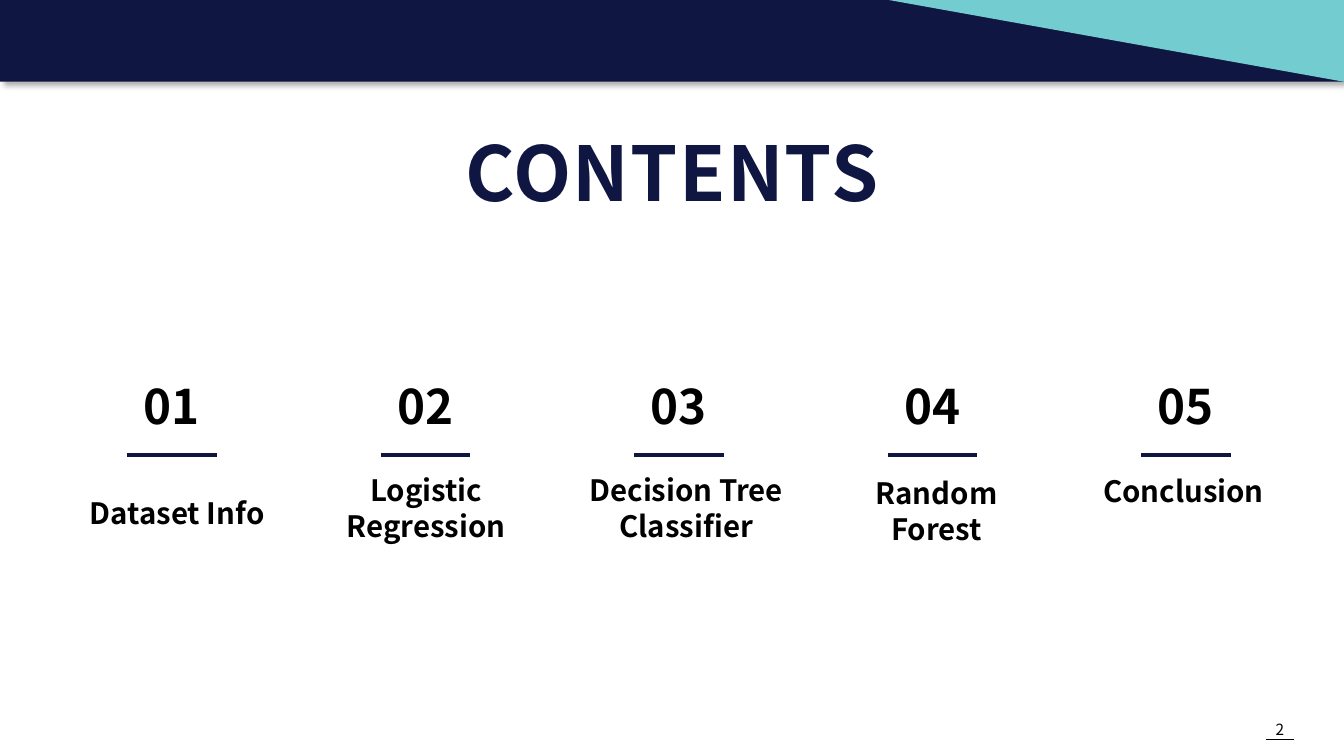
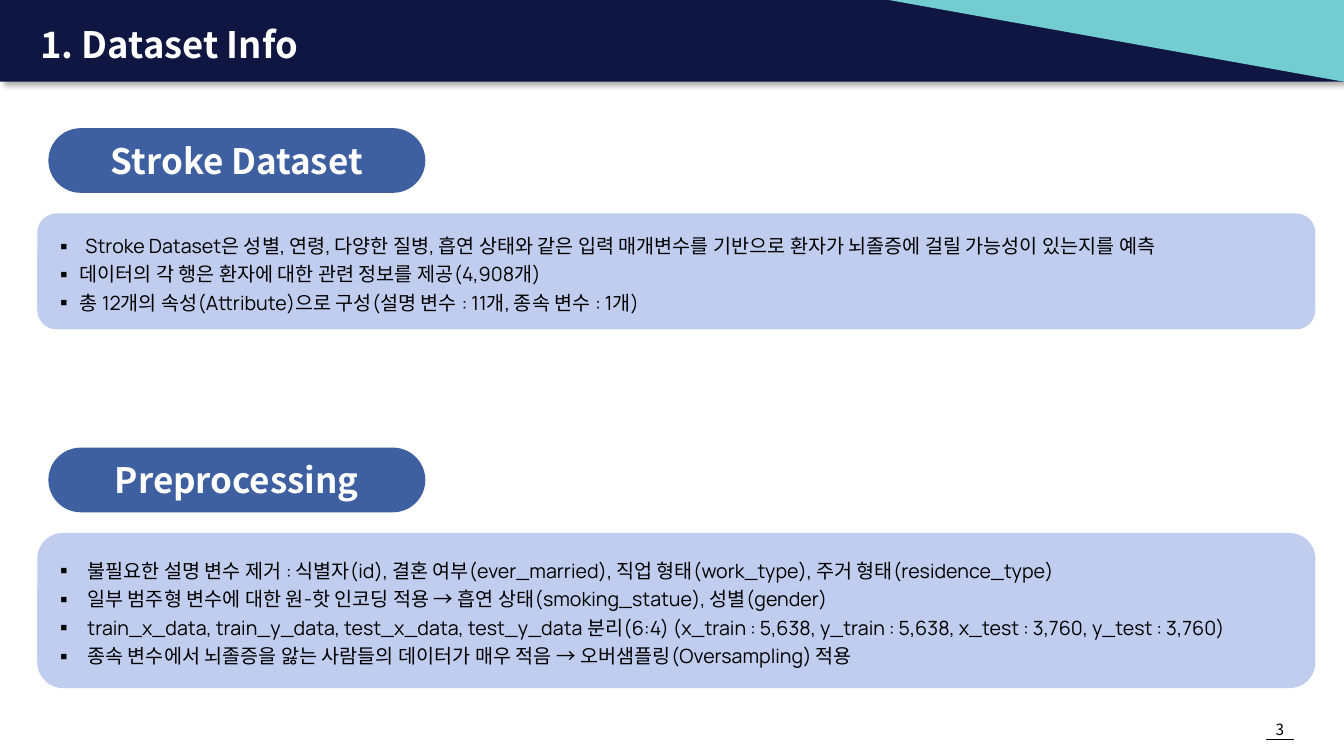
from dataclasses import dataclass

from pptx import Presentation
from pptx.dml.color import RGBColor
from pptx.enum.shapes import MSO_CONNECTOR as Conn, MSO_SHAPE as Geom
from pptx.enum.text import MSO_ANCHOR as Anchor, MSO_AUTO_SIZE as AutoSize, PP_ALIGN as Align
from pptx.oxml import parse_xml
from pptx.oxml.ns import nsdecls
from pptx.util import Cm, Pt


@dataclass(frozen=True)
class Theme:
    navy: str = "0F1642"
    teal: str = "73CCCF"
    blue: str = "3E60A0"
    pale: str = "C0CDEF"
    black: str = "000000"
    white: str = "FFFFFF"
    head_font: str = "Noto Sans CJK KR"
    body_font: str = "Manrope"
    cover: float = 54
    number: float = 34
    title: float = 26
    pill: float = 25
    label: float = 21
    body: float = 14
    page: float = 11
    label_pitch: float = 25.7
    body_pitch: float = 20.3


@dataclass(frozen=True)
class Box:
    """Left, top, width and height in centimetres."""
    x: float
    y: float
    w: float
    h: float


@dataclass(frozen=True)
class Style:
    size: float
    color: str = "000000"
    font: str = "Noto Sans CJK KR"
    bold: bool = True
    align: Align = Align.CENTER
    pitch: float | None = None
    tracking: float = 0


@dataclass(frozen=True)
class Entry:
    lines: tuple[str, ...]
    box: Box


@dataclass(frozen=True)
class Section:
    heading: str
    top: float
    height: float
    indents: tuple[float, ...]
    items: tuple[str, ...]


T = Theme()
SLIDE_W, SLIDE_H = 33.87, 19.05
BAND_H = 2.06
FIRST_PAGE = 2
COLUMN_X, COLUMN_PITCH = 4.33, 6.39
NUMBER_W, RULE_W = 2.97, 2.26
PANEL_OFFSET = 2.15

ENTRIES = (
    Entry(("Dataset Info",), Box(1.47, 12.34, 5.99, 1.14)),
    Entry(("Logistic Regression",), Box(8.28, 11.78, 4.93, 2.03)),
    Entry(("Decision Tree", "Classifier"), Box(14.55, 11.78, 5.49, 2.03)),
    Entry(("Random", "Forest"), Box(20.62, 11.85, 5.97, 2.03)),
    Entry(("Conclusion",), Box(27.41, 11.78, 4.83, 1.14)),
)

SECTIONS = (
    Section("Stroke Dataset", 3.23, 2.92, (0.79, 0.64, 0.64), (
        "Stroke Dataset은 성별, 연령, 다양한 질병, 흡연 상태와 같은 입력 매개변수를 "
        "기반으로 환자가 뇌졸증에 걸릴 가능성이 있는지를 예측",
        "데이터의 각 행은 환자에 대한 관련 정보를 제공(4,908개)",
        "총 12개의 속성(Attribute)으로 구성(설명 변수 : 11개, 종속 변수 : 1개)",
    )),
    Section("Preprocessing", 11.28, 3.91, (0.84,) * 4, (
        "불필요한 설명 변수 제거 : 식별자(id), 결혼 여부(ever_married), "
        "직업 형태(work_type), 주거 형태(residence_type)",
        "일부 범주형 변수에 대한 원-핫 인코딩 적용 → 흡연 상태(smoking_statue), 성별(gender)",
        "train_x_data, train_y_data, test_x_data, test_y_data 분리(6:4) "
        "(x_train : 5,638, y_train : 5,638, x_test : 3,760, y_test : 3,760)",
        "종속 변수에서 뇌졸증을 앓는 사람들의 데이터가 매우 적음 → 오버샘플링(Oversampling) 적용",
    )),
)


def rgb(color: str) -> RGBColor:
    return RGBColor.from_string(color)


def place(sp, box: Box) -> None:
    sp.left, sp.top, sp.width, sp.height = Cm(box.x), Cm(box.y), Cm(box.w), Cm(box.h)


def write(sp, lines: tuple[str, ...], style: Style) -> None:
    tf = sp.text_frame
    tf.word_wrap = True
    tf.auto_size = AutoSize.NONE
    tf.vertical_anchor = Anchor.MIDDLE
    for i, line in enumerate(lines):
        p = tf.add_paragraph() if i else tf.paragraphs[0]
        p.alignment = style.align
        p.space_before = Pt(0)
        if style.pitch:
            p.line_spacing = Pt(style.pitch)
        r = p.add_run()
        r.text = line
        r.font.size = Pt(style.size)
        r.font.bold = style.bold
        r.font.name = style.font
        r.font.color.rgb = rgb(style.color)
        rpr = r._r.get_or_add_rPr()
        rpr.append(parse_xml(f'<a:ea {nsdecls("a")} typeface="{T.head_font}"/>'))
        if style.tracking:
            rpr.set("spc", str(round(style.tracking * 100)))


def add_text(s, box: Box, lines: tuple[str, ...], style: Style) -> None:
    sp = s.shapes.add_textbox(Cm(box.x), Cm(box.y), Cm(box.w), Cm(box.h))
    write(sp, lines, style)


def add_block(s, geom: Geom, box: Box, fill: str):
    sp = s.shapes.add_shape(geom, Cm(box.x), Cm(box.y), Cm(box.w), Cm(box.h))
    sp.shadow.inherit = False
    sp.fill.solid()
    sp.fill.fore_color.rgb = rgb(fill)
    sp.line.fill.background()
    return sp


def add_rule(s, x: float, y: float, w: float, color: str, weight: float):
    cx = s.shapes.add_connector(Conn.STRAIGHT, Cm(x), Cm(y), Cm(x + w), Cm(y))
    cx.line.color.rgb = rgb(color)
    cx.line.width = Pt(weight)
    cx.element.spPr.append(parse_xml(f'<a:effectLst {nsdecls("a")}/>'))
    return cx


def add_master_art(prs, s) -> None:
    """Draw the band and the page rule on s, then move them to the master."""
    band = add_block(s, Geom.RECTANGLE, Box(0, 0, SLIDE_W, BAND_H), T.navy)
    band.element.spPr.find("{*}effectLst").append(parse_xml(
        f'<a:outerShdw {nsdecls("a")} blurRad="{Pt(4)}" dist="{Pt(3)}" dir="2700000" '
        f'algn="tl" rotWithShape="0"><a:srgbClr val="{T.black}">'
        '<a:alpha val="29000"/></a:srgbClr></a:outerShdw>'))
    wedge_x = 22.4
    wedge = add_block(s, Geom.RIGHT_TRIANGLE, Box(wedge_x, 0, SLIDE_W - wedge_x, BAND_H), T.teal)
    wedge.rotation = 180
    page_rule = add_rule(s, 31.9, 18.64, 0.71, T.black, 0.5)
    for i, sp in enumerate((band, wedge, page_rule), start=101):
        sp.element.xpath(".//p:cNvPr")[0].set("id", str(i))
        prs.slide_master.shapes.element.append(sp.element)


def add_page_number(s, number: int) -> None:
    add_text(s, Box(31.39, 18.01, 1.73, 0.74), (str(number),), Style(T.page, bold=False))


def add_title(s, box: Box, text: str, style: Style) -> None:
    place(s.shapes.title, box)
    write(s.shapes.title, (text,), style)


def add_bullets(sp, indents: tuple[float, ...]) -> None:
    for p, indent in zip(sp.text_frame.paragraphs, indents):
        ppr = p._p.get_or_add_pPr()
        ppr.set("marL", str(Cm(indent)))
        ppr.set("indent", str(-Cm(indent)))
        for xml in (f'<a:buClr {nsdecls("a")}><a:srgbClr val="{T.black}"/></a:buClr>',
                    f'<a:buFont {nsdecls("a")} typeface="{T.head_font}"/>',
                    f'<a:buChar {nsdecls("a")} char="▪"/>'):
            ppr.append(parse_xml(xml))


def add_section(s, body, section: Section) -> None:
    pill = add_block(s, Geom.ROUNDED_RECTANGLE, Box(1.22, section.top, 9.5, 1.63), T.blue)
    pill.adjustments[0] = 0.5
    write(pill, (section.heading,), Style(T.pill, T.white))

    box = Box(0.94, section.top + PANEL_OFFSET, 32.21, section.height)
    panel = add_block(s, Geom.ROUNDED_RECTANGLE, box, T.pale)
    body.element.addprevious(panel.element)
    inset = 0.17
    place(body, Box(box.x + inset, box.y, box.w - 2 * inset, box.h))
    write(body, section.items, Style(T.body, font=T.body_font, bold=False,
                                     align=Align.LEFT, pitch=T.body_pitch))
    add_bullets(body, section.indents)


def build_contents(s) -> None:
    title_w = 25.4
    add_title(s, Box((SLIDE_W - title_w) / 2, 3.07, title_w, 2.51), "CONTENTS",
              Style(T.cover, T.navy, tracking=1))
    for i, entry in enumerate(ENTRIES):
        center = COLUMN_X + i * COLUMN_PITCH
        add_text(s, Box(center - NUMBER_W / 2, 9.4, NUMBER_W, 1.65), (f"{i + 1:02}",),
                 Style(T.number))
        add_rule(s, center - RULE_W / 2, 11.46, RULE_W, T.navy, 3)
        add_text(s, entry.box, entry.lines, Style(T.label, pitch=T.label_pitch))


def build_dataset(s) -> None:
    add_title(s, Box(0.76, 0.48, 15.37, 1.27), "1. Dataset Info",
              Style(T.title, T.white, align=Align.LEFT))
    bodies = [ph for ph in s.placeholders if ph.placeholder_format.idx > 0]
    for body, section in zip(bodies, SECTIONS):
        add_section(s, body, section)


def main() -> None:
    prs = Presentation()
    prs.slide_width, prs.slide_height = Cm(SLIDE_W), Cm(SLIDE_H)
    title_only, two_content = prs.slide_layouts[5], prs.slide_layouts[3]
    contents = prs.slides.add_slide(title_only)
    add_master_art(prs, contents)
    build_contents(contents)
    build_dataset(prs.slides.add_slide(two_content))
    for number, s in enumerate(prs.slides, start=FIRST_PAGE):
        add_page_number(s, number)
    prs.save("out.pptx")


if __name__ == "__main__":
    main()
